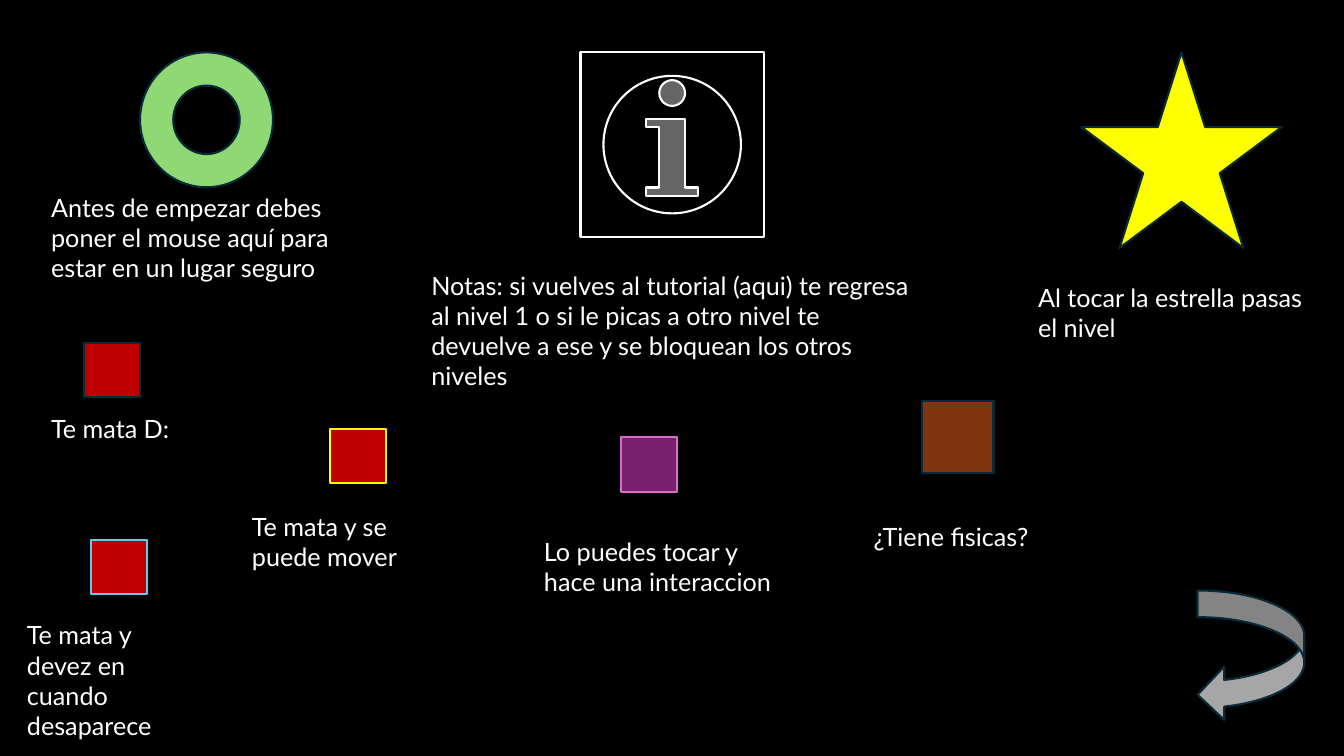
from pptx import Presentation
from pptx.dml.color import RGBColor
from pptx.enum.shapes import MSO_SHAPE
from pptx.enum.text import MSO_AUTO_SIZE
from pptx.util import Cm, Pt

COLOURS = {
    "black": "000000",
    "white": "FFFFFF",
    "navy": "092A39",
    "red": "C00000",
    "green": "8ED973",
    "yellow": "FFFF00",
    "grey": "A6A6A6",
    "purple": "78206E",
    "pink": "D86ECC",
    "sky": "61CBF4",
    "brown": "80350E",
}

# kind, left, top, width, height, fill, outline
ICONS = [
    (MSO_SHAPE.DONUT, 3.53, 1.32, 3.35, 3.4, "green", "navy"),
    (MSO_SHAPE.ACTION_BUTTON_INFORMATION, 14.63, 1.32, 4.62, 4.65, "black", "white"),
    (MSO_SHAPE.STAR_5_POINT, 27.25, 1.32, 5.05, 4.93, "yellow", "navy"),
    (MSO_SHAPE.CURVED_LEFT_ARROW, 30.18, 14.88, 2.69, 3.3, "grey", "navy"),
    (MSO_SHAPE.RECTANGLE, 23.24, 10.11, 1.8, 1.8, "brown", "navy"),
]

# left, top, fill, outline
SMALL_BLOCKS = [
    (2.11, 8.64, "red", "navy"),
    (8.31, 10.8, "red", "yellow"),
    (2.29, 13.61, "red", "sky"),
    (15.65, 11.02, "purple", "pink"),
]
BLOCK_WIDTH, BLOCK_HEIGHT = 1.42, 1.37

# left, top, width, height, wording
CAPTIONS = [
    (1.04, 4.72, 7.72, 2.57,
     "Antes de empezar debes poner el mouse aquí para estar en un lugar seguro"),
    (10.62, 6.68, 12.9, 2.57,
     "Notas: si vuelves al tutorial (aqui) te regresa al nivel 1 o si le picas "
     "a otro nivel te devuelve a ese y se bloquean los otros niveles"),
    (25.91, 6.99, 7.72, 1.8, "Al tocar la estrella pasas el nivel"),
    (1.04, 10.29, 4.11, 1.02, "Te mata D:"),
    (6.1, 12.75, 5.79, 1.8, "Te mata y se puede mover"),
    (13.46, 13.39, 6.48, 1.8, "Lo puedes tocar y hace una interaccion"),
    (21.77, 13, 6.48, 1.02, "¿Tiene fisicas?"),
    (0.43, 15.49, 4.85, 2.57, "Te mata y devez en cuando desaparece"),
]


def colour(name):
    return RGBColor.from_string(COLOURS[name])


def paint_background(page, name):
    fill = page.background.fill
    fill.solid()
    fill.fore_color.rgb = colour(name)


def add_icon(page, kind, left, top, width, height, fill, outline):
    icon = page.shapes.add_shape(kind, Cm(left), Cm(top), Cm(width), Cm(height))
    icon.shadow.inherit = False
    icon.fill.solid()
    icon.fill.fore_color.rgb = colour(fill)
    icon.line.color.rgb = colour(outline)
    icon.line.width = Pt(1.5)


def add_caption(page, left, top, width, height, wording):
    box = page.shapes.add_textbox(Cm(left), Cm(top), Cm(width), Cm(height))
    frame = box.text_frame
    frame.word_wrap = True
    frame.auto_size = MSO_AUTO_SIZE.SHAPE_TO_FIT_TEXT
    span = frame.paragraphs[0].add_run()
    span.text = wording
    span.font.name = "Lato"
    span.font.size = Pt(18)
    span.font.color.rgb = colour("white")


def main():
    deck = Presentation()
    deck.slide_width, deck.slide_height = Cm(33.87), Cm(19.05)
    page = deck.slides.add_slide(deck.slide_layouts[6])
    paint_background(page, "black")
    for icon in ICONS:
        add_icon(page, *icon)
    for left, top, fill, outline in SMALL_BLOCKS:
        add_icon(page, MSO_SHAPE.RECTANGLE, left, top,
                 BLOCK_WIDTH, BLOCK_HEIGHT, fill, outline)
    for caption in CAPTIONS:
        add_caption(page, *caption)
    deck.save("out.pptx")


if __name__ == "__main__":
    main()
